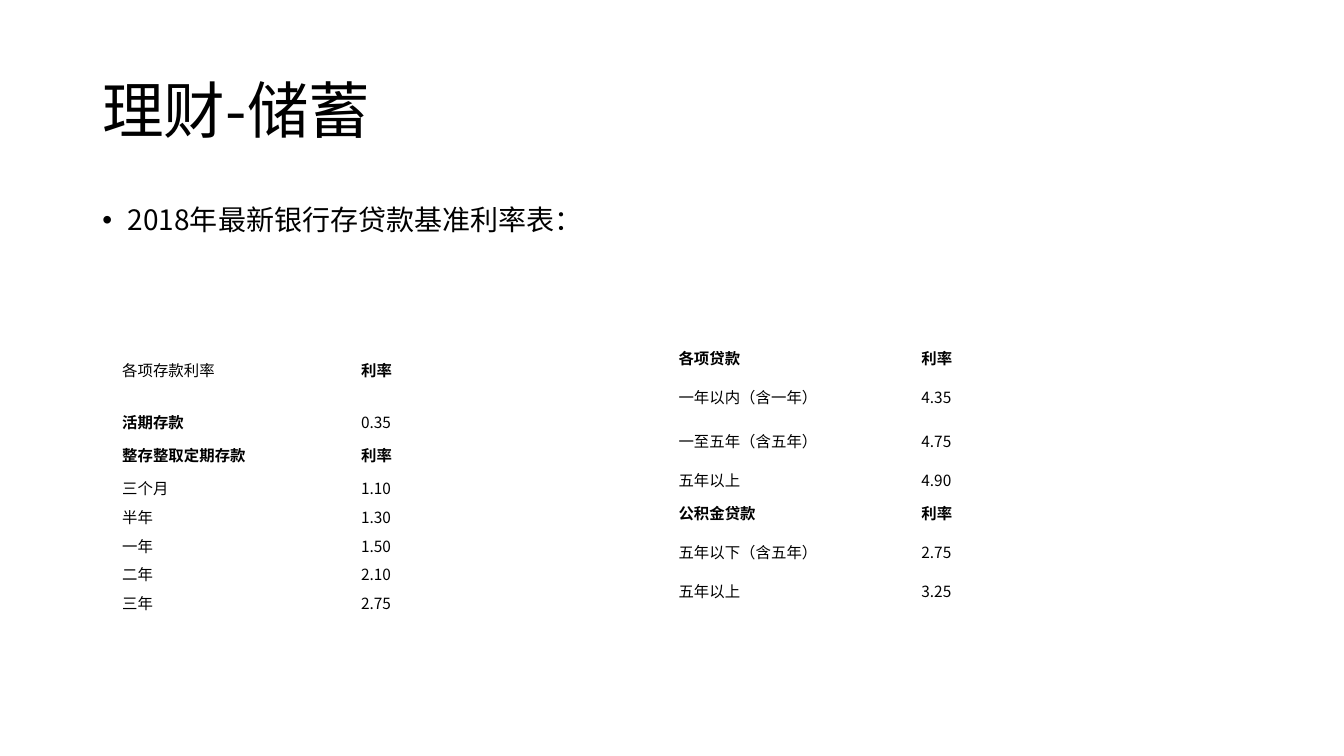
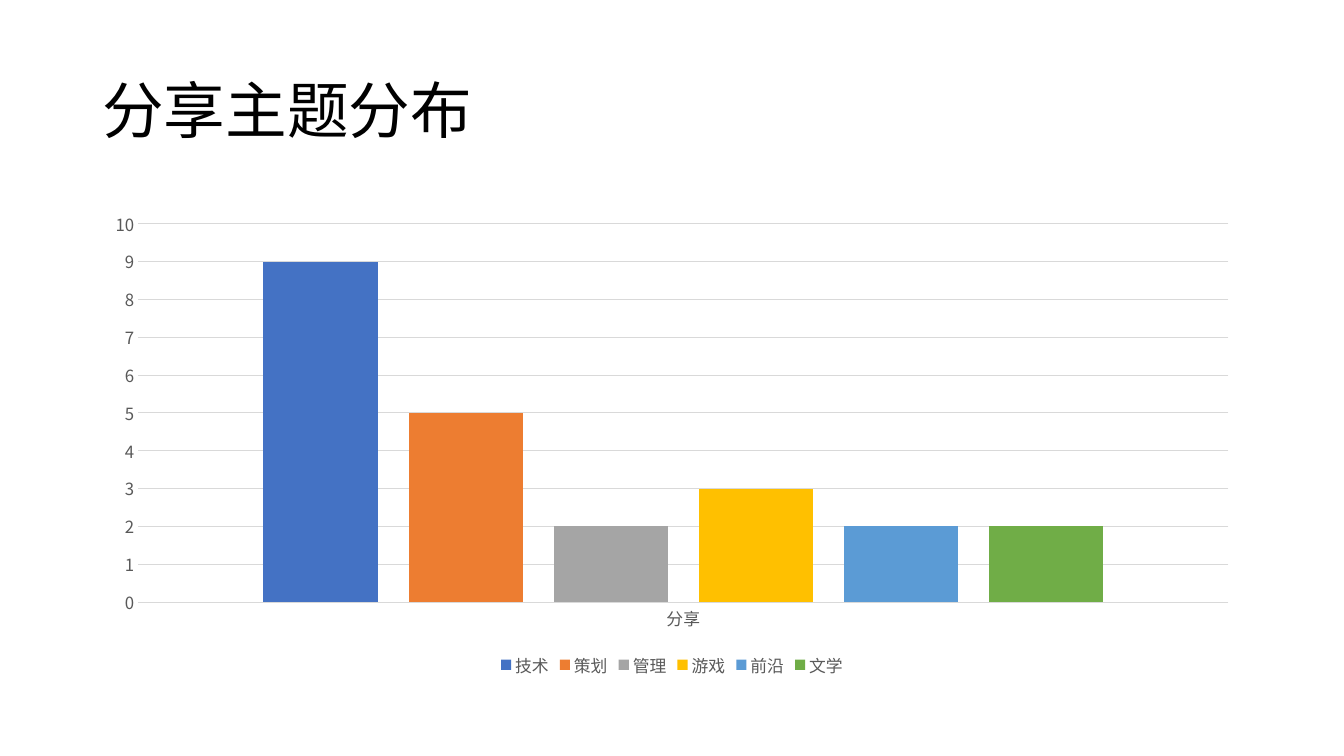
from lxml import etree
from pptx import Presentation
from pptx.chart.data import CategoryChartData
from pptx.dml.color import RGBColor
from pptx.enum.chart import XL_CHART_TYPE as ChartType
from pptx.enum.chart import XL_LEGEND_POSITION as LegendPosition
from pptx.enum.chart import XL_TICK_MARK as TickMark
from pptx.enum.text import MSO_ANCHOR as Anchor
from pptx.oxml.ns import qn
from pptx.util import Cm, Pt

FONT = "Noto Sans CJK SC"
BLACK = RGBColor(0x00, 0x00, 0x00)
WHITE = RGBColor(0xFF, 0xFF, 0xFF)
GRAY = RGBColor(0x59, 0x59, 0x59)
LIGHT_GRAY = RGBColor(0xD9, 0xD9, 0xD9)

TITLE_AREA = (Cm(2.33), Cm(1.01), Cm(29.21), Cm(3.68))
CONTENT_AREA = (Cm(2.33), Cm(5.08), Cm(29.21), Cm(12.09))

SAVINGS_TITLE = "理财-储蓄"
SAVINGS_BULLET = "2018年最新银行存贷款基准利率表："
BOLD_CELLS = {"利率", "活期存款", "整存整取定期存款", "各项贷款", "公积金贷款"}

# Each row: label, rate, height in cm
RATE_TABLES = [
    {
        "left": 2.92, "top": 8.36, "columns": (6.02, 5.74),
        "rows": [
            ("各项存款利率", "利率", 1.9),
            ("活期存款", "0.35", 0.72),
            ("整存整取定期存款", "利率", 0.96),
            ("三个月", "1.10", 0.72),
            ("半年", "1.30", 0.72),
            ("一年", "1.50", 0.72),
            ("二年", "2.10", 0.72),
            ("三年", "2.75", 0.72),
        ],
    },
    {
        "left": 16.94, "top": 8.59, "columns": (6.12, 5.87),
        "rows": [
            ("各项贷款", "利率", 0.84),
            ("一年以内（含一年）", "4.35", 1.12),
            ("一至五年（含五年）", "4.75", 1.12),
            ("五年以上", "4.90", 0.84),
            ("公积金贷款", "利率", 0.84),
            ("五年以下（含五年）", "2.75", 1.12),
            ("五年以上", "3.25", 0.84),
        ],
    },
]

TOPICS_TITLE = "分享主题分布"
TOPICS_CATEGORY = "分享"
TOPICS = [
    ("技术", 9, RGBColor(0x44, 0x72, 0xC4)),
    ("策划", 5, RGBColor(0xED, 0x7D, 0x31)),
    ("管理", 2, RGBColor(0xA5, 0xA5, 0xA5)),
    ("游戏", 3, RGBColor(0xFF, 0xC0, 0x00)),
    ("前沿", 2, RGBColor(0x5B, 0x9B, 0xD5)),
    ("文学", 2, RGBColor(0x70, 0xAD, 0x47)),
]


def style_font(font, size, color, bold=False):
    font.name = FONT
    font.size = Pt(size)
    font.bold = bold
    font.color.rgb = color


def add_run(paragraph, text, size, bold=False):
    """Add black text, with the font also set for East Asian characters."""
    run = paragraph.add_run()
    run.text = text
    style_font(run.font, size, BLACK, bold)
    east_asian = etree.SubElement(run.font._element, qn("a:ea"))
    east_asian.set("typeface", FONT)


def add_text_box(slide, area, text, size, anchor):
    frame = slide.shapes.add_textbox(*area).text_frame
    frame.word_wrap = True
    frame.vertical_anchor = anchor
    paragraph = frame.paragraphs[0]
    paragraph.line_spacing = 0.9
    add_run(paragraph, text, size)
    return paragraph


def add_bullet(paragraph):
    properties = paragraph._p.get_or_add_pPr()
    properties.set("marL", str(Cm(0.64)))
    properties.set("indent", str(-Cm(0.64)))
    etree.SubElement(properties, qn("a:buFont")).set("typeface", "Arial")
    etree.SubElement(properties, qn("a:buChar")).set("char", "•")


def add_titled_slide(presentation, title):
    slide = presentation.slides.add_slide(presentation.slide_layouts[6])
    add_text_box(slide, TITLE_AREA, title, 44, Anchor.MIDDLE)
    return slide


def fill_cell(cell, text):
    cell.fill.solid()
    cell.fill.fore_color.rgb = WHITE
    cell.vertical_anchor = Anchor.MIDDLE
    cell.margin_left = cell.margin_right = Cm(0.16)
    cell.margin_top = cell.margin_bottom = Cm(0.08)
    add_run(cell.text_frame.paragraphs[0], text, 11, text in BOLD_CELLS)


def add_rate_table(slide, left, top, columns, rows):
    height = sum(row[-1] for row in rows)
    table = slide.shapes.add_table(
        len(rows), len(columns),
        Cm(left), Cm(top), Cm(sum(columns)), Cm(height)).table
    table.first_row = False
    table.horz_banding = False
    for column, width in zip(table.columns, columns):
        column.width = Cm(width)
    for row, (label, rate, row_height) in zip(table.rows, rows):
        row.height = Cm(row_height)
        for cell, text in zip(row.cells, (label, rate)):
            fill_cell(cell, text)


def style_line(line):
    line.color.rgb = LIGHT_GRAY
    line.width = Pt(0.75)


def add_topic_chart(slide):
    data = CategoryChartData()
    data.categories = [TOPICS_CATEGORY]
    for name, count, _ in TOPICS:
        data.add_series(name, [count])
    chart = slide.shapes.add_chart(
        ChartType.COLUMN_CLUSTERED, *CONTENT_AREA, data).chart
    style_font(chart.font, 10, BLACK)
    chart.has_title = False

    plot = chart.plots[0]
    plot.gap_width = 219
    plot.overlap = -27
    plot.vary_by_categories = False
    for series, (_, _, color) in zip(plot.series, TOPICS):
        series.format.fill.solid()
        series.format.fill.fore_color.rgb = color

    for axis in (chart.category_axis, chart.value_axis):
        axis.major_tick_mark = axis.minor_tick_mark = TickMark.NONE
        style_font(axis.tick_labels.font, 12, GRAY)
    style_line(chart.category_axis.format.line)
    value_axis = chart.value_axis
    value_axis.minimum_scale = 0
    value_axis.maximum_scale = 10
    value_axis.major_unit = 1
    value_axis.format.line.fill.background()
    value_axis.has_major_gridlines = True
    style_line(value_axis.major_gridlines.format.line)

    chart.has_legend = True
    chart.legend.position = LegendPosition.BOTTOM
    chart.legend.include_in_layout = False
    style_font(chart.legend.font, 12, GRAY)


def main():
    presentation = Presentation()
    presentation.slide_width = Cm(33.87)
    presentation.slide_height = Cm(19.05)

    savings = add_titled_slide(presentation, SAVINGS_TITLE)
    add_bullet(add_text_box(
        savings, CONTENT_AREA, SAVINGS_BULLET, 20, Anchor.TOP))
    for rate_table in RATE_TABLES:
        add_rate_table(savings, **rate_table)

    topics = add_titled_slide(presentation, TOPICS_TITLE)
    add_topic_chart(topics)

    presentation.save("out.pptx")


if __name__ == "__main__":
    main()
